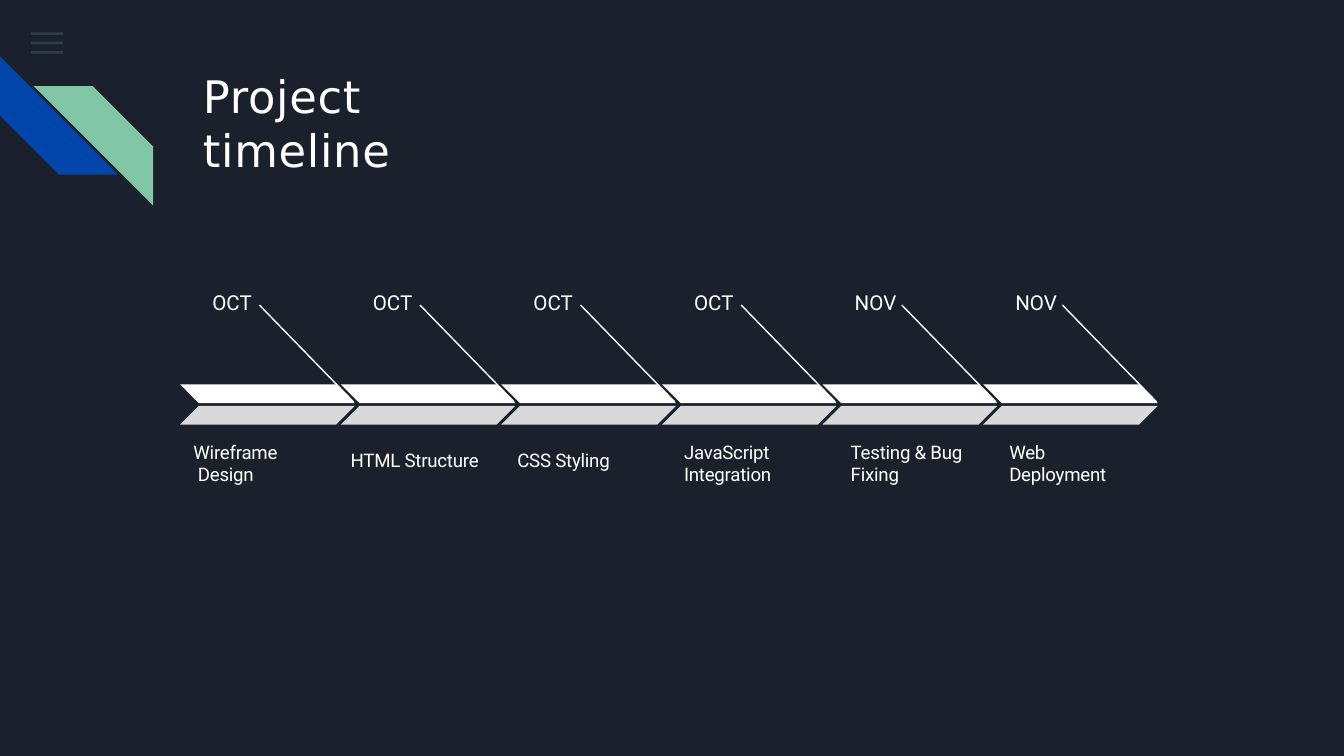
import pptx
import pptx.util
import pptx.dml.color
import pptx.enum.shapes
import pptx.enum.text
import pptx.oxml
import pptx.oxml.ns
from pptx.util import Inches

WHITE = "FFFFFF"
NAVY = "1B212C"
STAGE_LEFT = 1.34
STAGE_PITCH = 1.195
STAGE_WIDTH = 1.3
BAR_HEIGHT = 0.14
UPPER_TOP = 2.86
LOWER_TOP = 3.02

TITLE_FORMAT = {"name": "DejaVu Sans", "size": pptx.util.Pt(24), "bold": False}
DATE_FORMAT = {"name": "Roboto", "size": pptx.util.Pt(11)}
LABEL_FORMAT = {"name": "Roboto", "size": pptx.util.Pt(10)}

STAGES = [
    ("OCT", "Wireframe\v Design", 1.43, 3.27, 0.67),
    ("OCT", "HTML Structure", 2.6, 3.33, 1),
    ("OCT", "CSS Styling", 3.84, 3.33, 0.73),
    ("OCT", "JavaScript\vIntegration", 5.08, 3.27, 0.69),
    ("NOV", "Testing & Bug\vFixing", 6.32, 3.27, 0.88),
    ("NOV", "Web\nDeployment", 7.5, 3.27, 0.77),
]


def color(value):
    return pptx.dml.color.RGBColor.from_string(value)


def fill_shape(shape, value):
    shape.shadow.inherit = False
    shape.fill.solid()
    shape.fill.fore_color.rgb = color(value)
    shape.line.fill.background()


def add_polygon(page, points, value):
    corners = [(Inches(x), Inches(y)) for x, y in points]
    builder = page.shapes.build_freeform(*corners[0])
    builder.add_line_segments(corners[1:], close=True)
    fill_shape(builder.convert_to_shape(), value)


def write_text(box, text, font_format, spacing):
    frame = box.text_frame
    frame.text = text
    frame_format = {
        "word_wrap": True,
        "auto_size": pptx.enum.text.MSO_AUTO_SIZE.NONE,
        "vertical_anchor": pptx.enum.text.MSO_ANCHOR.TOP,
        "margin_left": Inches(0.01),
        "margin_top": Inches(0.01),
        "margin_right": 0,
        "margin_bottom": 0,
    }
    for name, value in frame_format.items():
        setattr(frame, name, value)
    for para in frame.paragraphs:
        para.alignment = pptx.enum.text.PP_ALIGN.LEFT
        for span in para.runs:
            for name, value in font_format.items():
                setattr(span.font, name, value)
            span.font.color.rgb = color(WHITE)
            span.font._element.set("spc", str(spacing))


def add_text(page, left, top, width, height, text, font_format, spacing):
    box = page.shapes.add_textbox(Inches(left), Inches(top), Inches(width), Inches(height))
    write_text(box, text, font_format, spacing)


def add_line(page, start, end):
    line = page.shapes.add_connector(
        pptx.enum.shapes.MSO_CONNECTOR.STRAIGHT, *map(Inches, start + end)
    )
    line.line.color.rgb = color(WHITE)
    line.line.width = pptx.util.Pt(0.75)
    line._element.spPr.append(pptx.oxml.parse_xml(
        f"<a:effectLst {pptx.oxml.ns.nsdecls('a')}/>"
    ))


def add_menu_icon(page):
    for row in range(3):
        bar = page.shapes.add_shape(
            pptx.enum.shapes.MSO_SHAPE.RECTANGLE,
            Inches(0.23), Inches(0.24 + 0.07 * row), Inches(0.24), Inches(0.02),
        )
        fill_shape(bar, "55688B")
        tint = bar._element.spPr.find(".//" + pptx.oxml.ns.qn("a:srgbClr"))
        tint.append(pptx.oxml.parse_xml(
            f"<a:alpha {pptx.oxml.ns.nsdecls('a')} val='36000'/>"
        ))


def add_corner_bands(page):
    add_polygon(page, [(0.88, 1.3), (0.44, 1.3), (0, 0.86), (0, 0.42)], "0145AB")
    add_polygon(page, [(1.14, 1.53), (0.25, 0.64), (0.69, 0.64), (1.14, 1.09)], "82C7A5")


def add_title(page):
    title = page.shapes.title
    title.left, title.top = Inches(1.5), Inches(0.5)
    title.width, title.height = Inches(2.69), Inches(0.43)
    write_text(title, "Project timeline", TITLE_FORMAT, 40)
    title.text_frame.margin_right = Inches(0.5)


def add_bar(page, left, flat_top, point_top, value):
    right = left + STAGE_WIDTH
    add_polygon(page, [
        (left, flat_top), (right - BAR_HEIGHT, flat_top),
        (right, point_top), (left + BAR_HEIGHT, point_top),
    ], value)


def add_stage(page, index, date, label, label_left, label_top, label_width):
    left = STAGE_LEFT + STAGE_PITCH * index
    add_line(page, (left + 0.59, 2.27), (left + 1.29, 2.99))
    add_bar(page, left, UPPER_TOP, UPPER_TOP + BAR_HEIGHT, WHITE)
    add_bar(page, left, LOWER_TOP + BAR_HEIGHT, LOWER_TOP, "D9D9D9")
    add_text(page, left + 0.23, 2.15, 0.34, 0.21, date, DATE_FORMAT, 0)
    label_height = 0.36 if label_top < 3.3 else 0.19
    add_text(page, label_left, label_top, label_width, label_height, label, LABEL_FORMAT, -10)


def main():
    deck = pptx.Presentation()
    deck.slide_width = Inches(10)
    deck.slide_height = deck.slide_width * 9 // 16
    page = deck.slides.add_slide(deck.slide_layouts[5])
    page.background.fill.solid()
    page.background.fill.fore_color.rgb = color(NAVY)
    add_menu_icon(page)
    add_corner_bands(page)
    add_title(page)
    for index, stage in enumerate(STAGES):
        add_stage(page, index, *stage)
    deck.save("out.pptx")


if __name__ == "__main__":
    main()
